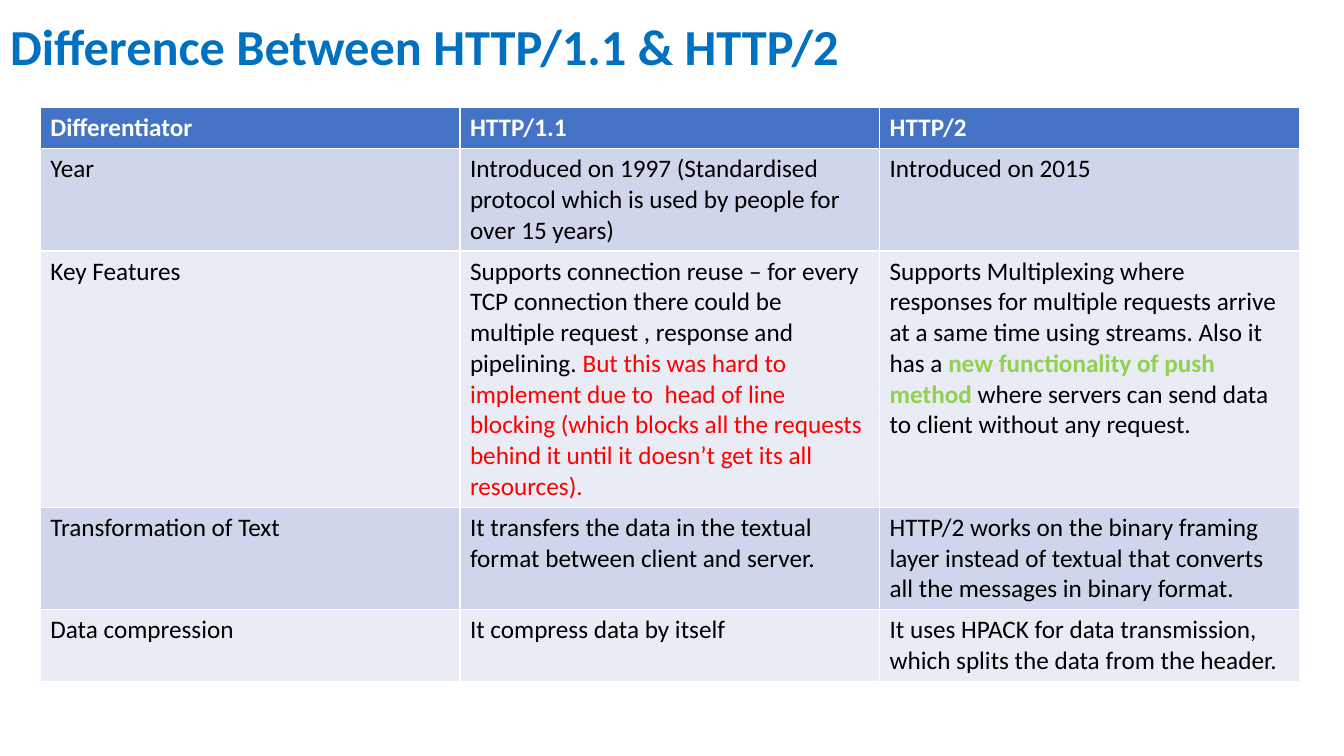
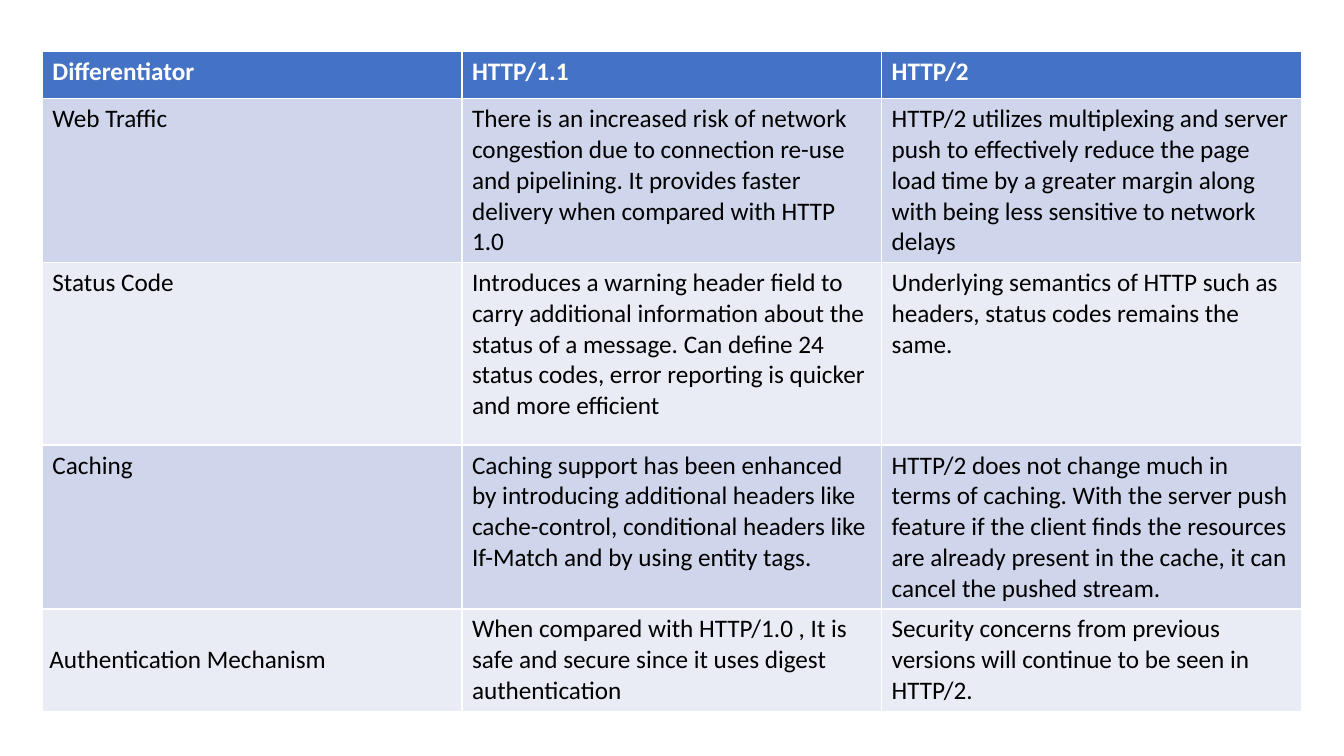
from dataclasses import dataclass

from pptx import Presentation
from pptx.dml.color import RGBColor as RGB
from pptx.enum.text import MSO_ANCHOR as ANCHOR, PP_ALIGN as ALIGN
from pptx.util import Pt


@dataclass(frozen=True)
class Theme:
    font: str = "Calibri"
    title_size: float = 36
    body_size: float = 18
    title: str = "0070C0"
    header: str = "4472C4"
    bands: tuple = ("CFD5EA", "E9EBF5")
    light: str = "FFFFFF"
    text: str = "000000"
    drawback: str = "FF0000"
    benefit: str = "92D050"


class Deck:
    TITLE_ONLY, BLANK = 5, 6

    def __init__(self, theme, width, height):
        self.theme = theme
        self.prs = Presentation()
        self.prs.slide_width, self.prs.slide_height = Pt(width), Pt(height)
        self.s = None

    def slide(self, layout):
        self.s = self.prs.slides.add_slide(self.prs.slide_layouts[layout])

    def run(self, p, text, color, size=None, bold=False):
        r = p.add_run()
        r.text = text
        r.font.name = self.theme.font
        r.font.size = Pt(size or self.theme.body_size)
        r.font.bold = bold
        r.font.color.rgb = RGB.from_string(color)

    def title(self, text, left, top, width, height):
        sp = self.s.shapes.title
        sp.left, sp.top, sp.width, sp.height = Pt(left), Pt(top), Pt(width), Pt(height)
        tf = sp.text_frame
        tf.word_wrap = True
        tf.vertical_anchor = ANCHOR.MIDDLE
        p = tf.paragraphs[0]
        p.alignment = ALIGN.LEFT
        p.line_spacing = 0.9
        self.run(p, text, self.theme.title, self.theme.title_size, True)

    def cell(self, cell, content, fill, color, bold):
        cell.fill.solid()
        cell.fill.fore_color.rgb = RGB.from_string(fill)
        runs = [(content, color, bold)] if isinstance(content, str) else content
        p = cell.text_frame.paragraphs[0]
        for text, run_color, run_bold in runs:
            self.run(p, text, run_color, bold=run_bold)

    def table(self, rows, left, top, col_width, heights):
        t, cols = self.theme, len(rows[0])
        table = self.s.shapes.add_table(
            len(rows), cols, Pt(left), Pt(top),
            Pt(col_width * cols), Pt(sum(heights))).table
        for col in table.columns:
            col.width = Pt(col_width)
        for i, (row, height) in enumerate(zip(rows, heights)):
            table.rows[i].height = Pt(height)
            header = i == 0
            fill = t.header if header else t.bands[(i - 1) % len(t.bands)]
            for j, content in enumerate(row):
                self.cell(table.cell(i, j), content, fill,
                          t.light if header else t.text, header)
        return table


theme = Theme()
deck = Deck(theme, 960, 540)
COL_WIDTH = 299.75
HEADER = ("Differentiator", "HTTP/1.1", "HTTP/2")

basics = [
    HEADER,
    ("Year",
     "Introduced on 1997 (Standardised protocol which is used by people for over 15 years)",
     "Introduced on 2015"),
    ("Key Features",
     [("Supports connection reuse – for every TCP connection there could be "
       "multiple request , response and pipelining. ", theme.text, False),
      ("But this was hard to implement due to  head of line blocking (which blocks "
       "all the requests behind it until it doesn’t get its all resources).",
       theme.drawback, False)],
     [("Supports Multiplexing where responses for multiple requests arrive at a "
       "same time using streams. Also it has a ", theme.text, False),
      ("new functionality of push method ", theme.benefit, True),
      ("where servers can send data to client without any request.", theme.text, False)]),
    ("Transformation of Text",
     "It transfers the data in the textual format between client and server.",
     "HTTP/2 works on the binary framing layer instead of textual that converts "
     "all the messages in binary format."),
    ("Data compression",
     "It compress data by itself",
     "It uses HPACK for data transmission, which splits the data from the header."),
]

operations = [
    HEADER,
    ("Web Traffic",
     "There is an increased risk of network congestion due to connection re-use and "
     "pipelining. It provides faster delivery when compared with HTTP 1.0",
     "HTTP/2 utilizes multiplexing and server push to effectively reduce the page load "
     "time by a greater margin along with being less sensitive to network delays"),
    ("Status Code",
     "Introduces a warning header field to carry additional information about the status "
     "of a message. Can define 24 status codes, error reporting is quicker and more efficient",
     "Underlying semantics of HTTP such as headers, status codes remains the same."),
    ("Caching",
     "Caching support has been enhanced by introducing additional headers like "
     "cache-control, conditional headers like If-Match and by using entity tags.",
     "HTTP/2 does not change much in terms of caching. With the server push feature if the "
     "client finds the resources are already present in the cache, it can cancel the "
     "pushed stream."),
    ("Authentication Mechanism",
     "When compared with HTTP/1.0 , It is safe and secure since it uses digest authentication",
     "Security concerns from previous versions will continue to be seen in HTTP/2."),
]

deck.slide(Deck.TITLE_ONLY)
deck.title("Difference Between HTTP/1.1 & HTTP/2", 0, 0, 828, 70.5)
deck.table(basics, 28.8, 77, COL_WIDTH, (29.2, 73, 183, 73, 51))

deck.slide(Deck.BLANK)
table = deck.table(operations, 30.25, 36.75, COL_WIDTH, (33.8, 117, 130.3, 117, 73))
authentication = table.cell(len(operations) - 1, 0)
authentication.vertical_anchor = ANCHOR.MIDDLE
authentication.margin_left = authentication.margin_right = Pt(5)
authentication.margin_top = authentication.margin_bottom = Pt(2.2)

deck.prs.save("out.pptx")
